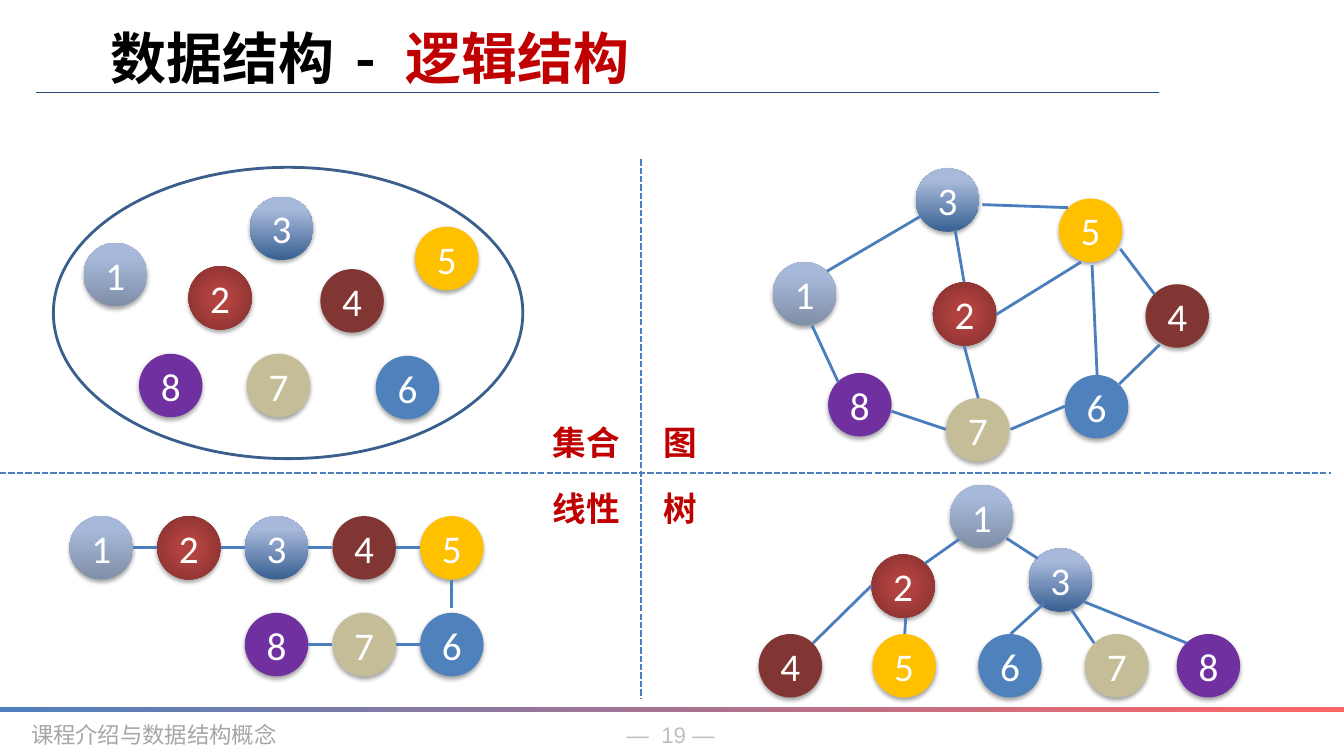
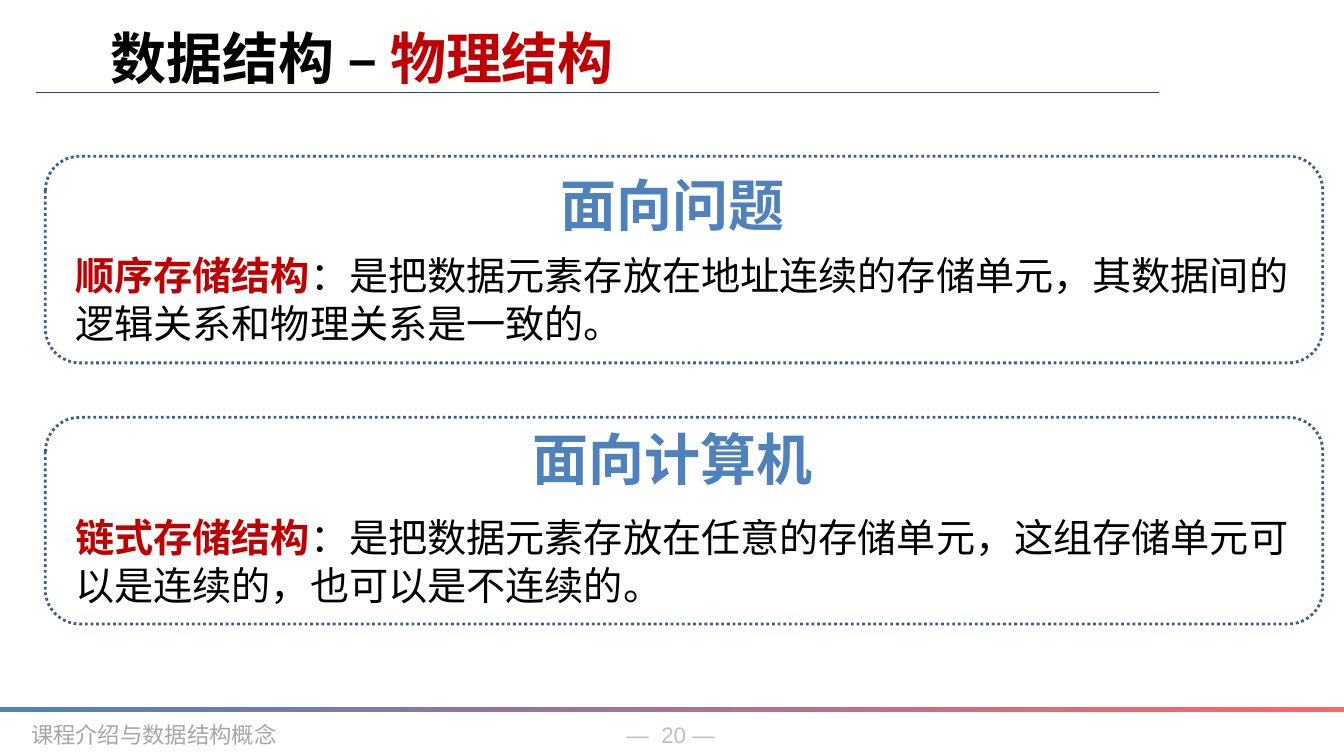
from dataclasses import dataclass

from lxml import etree
from pptx import Presentation
from pptx.dml.color import RGBColor as RGB
from pptx.enum.dml import MSO_LINE as DASH
from pptx.enum.shapes import MSO_CONNECTOR as CONN, MSO_SHAPE as SHAPE
from pptx.enum.text import MSO_ANCHOR as ANCHOR, PP_ALIGN as ALIGN
from pptx.oxml import parse_xml
from pptx.oxml.ns import nsdecls, qn
from pptx.util import Inches, Pt


@dataclass(frozen=True)
class Theme:
    black: str = "000000"
    white: str = "FFFFFF"
    red: str = "C00000"
    blue: str = "4F81BD"
    navy: str = "1F497D"
    link: str = "4B7EBC"
    outline: str = "3A5F8C"
    coral: str = "FF6666"
    footer: str = "A6A6A6"
    number: str = "BFBFBF"
    cjk: str = "Noto Sans CJK SC"
    title: int = 40
    body: int = 28
    label: int = 24
    small: int = 16


T = Theme()
NODE = 0.63
WIDTH = 13.34


def text(s, box, runs, size, color, name=T.cjk, bold=True, align=ALIGN.LEFT, leading=1.3):
    tf = s.shapes.add_textbox(*map(Inches, box)).text_frame
    tf.word_wrap = True
    p = tf.paragraphs[0]
    p.alignment = align
    p.line_spacing = Pt(round(size * leading))
    for content, changes in runs:
        fmt = dict(size=Pt(size), bold=bold, name=name, color=color, spc=0) | changes
        r = p.add_run()
        r.text = content
        r.font.color.rgb = RGB.from_string(fmt.pop("color"))
        spacing = fmt.pop("spc")
        for key, value in fmt.items():
            setattr(r.font, key, value)
        rPr = r._r.get_or_add_rPr()
        if spacing:
            rPr.set("spc", str(int(spacing * 100)))
        ea = etree.Element(qn("a:ea"), typeface=T.cjk)
        rPr.find(qn("a:latin")).addnext(ea)


def line(s, points, color=T.link, width=2, dash=None):
    c = s.shapes.add_connector(CONN.STRAIGHT, *map(Inches, points))
    c.line.color.rgb = RGB.from_string(color)
    c.line.width = Pt(width)
    if dash:
        c.line.dash_style = dash
    etree.SubElement(c._element.spPr, qn("a:effectLst"))


prs = Presentation()
prs.slide_width, prs.slide_height = Inches(WIDTH), Inches(7.5)

titles = [
    (19, " - ", 6, "逻辑结构"),
    (20, " – ", 0, "物理结构"),
]
slides = []
for page, dash, spacing, topic in titles:
    s = prs.slides.add_slide(prs.slide_layouts[6])
    slides.append(s)
    text(s, (6.12, 7.08, 1.18, 0.37), [("—", {}), (" ", dict(spc=4.5)), (f"{page} —", {})],
         T.small, T.number, "Arial", False)
    text(s, (0.21, 7.08, 2.91, 0.37), [("课程介绍与数据结构概念", {})],
         T.small, T.footer, "Courier New", False)
    line(s, (0.36, 0.92, 11.5, 0.92), T.navy, 1)
    bar = s.shapes.add_shape(SHAPE.RECTANGLE, 0, Inches(7.01), Inches(WIDTH), Inches(0.05))
    bar.shadow.inherit = False
    bar.line.fill.background()
    bar.fill.gradient()
    bar.fill.gradient_angle = 0
    for stop, color in zip(bar.fill.gradient_stops, (T.blue, T.coral)):
        stop.color.rgb = RGB.from_string(color)
    text(s, (1, 0.13, 7.32, 0.69),
         [("数据结构", {}), (dash, dict(spc=spacing)), (topic, dict(color=T.red))],
         T.title, T.black)

logical, physical = slides

upward = '<a:lin ang="16200000" scaled="0"/>'
radial = ('<a:path path="circle"><a:fillToRect l="50000" t="50000" r="50000" b="50000"/>'
          '</a:path>')
gradients = {
    1: ([(0, "808FA8"), (80, "A7B9DA"), (100, "A6BADC")], upward),
    2: ([(0, "B1423F"), (23, "B1423F"), (69, "953735"), (97, "8B3431")], radial),
    3: ([(0, "376092"), (80, "A7B9DA"), (100, "A6BADC")], upward),
}
solids = {4: "823634", 5: "FFC000", 6: T.blue, 7: "C4BD97", 8: "7030A0"}

chain = [(0.69 + 0.87 * i, 5.12) for i in range(5)]
chain += [(0.69 + 0.87 * i, 6.08) for i in (4, 3, 2)]
collection = [(0.83, 2.41), (1.87, 2.64), (2.48, 1.95), (3.18, 2.67),
              (4.12, 2.25), (3.73, 3.53), (2.45, 3.51), (1.38, 3.51)]
graph = [(7.67, 2.6), (9.26, 2.8), (9.09, 1.67), (11.37, 2.82),
         (10.51, 1.97), (10.57, 3.72), (9.39, 3.95), (8.22, 3.7)]
tree = [(9.43, 4.81), (8.65, 5.5), (10.21, 5.44), (7.53, 6.29),
        (8.66, 6.29), (9.71, 6.29), (10.77, 6.29), (11.68, 6.29)]

for structure in (chain, collection, graph, tree):
    for number, (x, y) in enumerate(structure, 1):
        sp = logical.shapes.add_shape(SHAPE.OVAL, *map(Inches, (x, y, NODE, NODE)))
        sp.line.fill.background()
        spPr = sp._element.spPr
        if number in solids:
            sp.fill.solid()
            sp.fill.fore_color.rgb = RGB.from_string(solids[number])
        else:
            stops, direction = gradients[number]
            marks = "".join(f'<a:gs pos="{at * 1000}"><a:srgbClr val="{color}"/></a:gs>'
                            for at, color in stops)
            sp.fill.background()
            spPr.replace(spPr.find(qn("a:noFill")), parse_xml(
                f'<a:gradFill {nsdecls("a")} rotWithShape="1"><a:gsLst>{marks}</a:gsLst>'
                f'{direction}</a:gradFill>'))
        sp.shadow.inherit = False
        spPr.find(qn("a:effectLst")).append(parse_xml(
            f'<a:outerShdw {nsdecls("a")} blurRad="{Pt(3.1)}" dist="{Pt(1.8)}" dir="5400000" '
            'rotWithShape="0"><a:srgbClr val="000000"><a:alpha val="35000"/></a:srgbClr>'
            '</a:outerShdw>'))
        tf = sp.text_frame
        tf.vertical_anchor = ANCHOR.MIDDLE
        p = tf.paragraphs[0]
        p.alignment = ALIGN.CENTER
        r = p.add_run()
        r.text = str(number)
        r.font.color.rgb = RGB.from_string(T.white)
        for key, value in dict(size=Pt(T.body), name="Calibri").items():
            setattr(r.font, key, value)

for (x1, y1), (x2, y2) in zip(chain, chain[1:]):
    if y1 == y2:
        left, middle = min(x1, x2), y1 + NODE / 2
        line(logical, (left + NODE, middle, left + 0.87, middle))
    else:
        line(logical, (x1 + NODE / 2, y1 + NODE, x1 + NODE / 2, y2 - 0.05))

graph_links = [
    (9.13, 2.15, 8.21, 2.69), (8.06, 3.23, 8.32, 3.79), (9.48, 2.28, 9.57, 2.8),
    (10.84, 2.63, 10.89, 3.72), (9.75, 2.03, 10.6, 2.06), (10.73, 2.6, 9.89, 3.12),
    (8.85, 4.08, 9.39, 4.26), (11.51, 3.42, 11.11, 3.81), (9.57, 3.43, 9.71, 3.95),
    (10.03, 4.26, 10.57, 4.03), (11.12, 2.47, 11.46, 2.92),
]
tree_links = [
    (9.52, 5.35, 9.18, 5.59), (8.65, 5.81, 8.07, 6.38), (9.99, 5.34, 10.3, 5.54),
    (11.78, 6.38, 10.76, 5.97), (10.36, 5.99, 10.03, 6.29), (10.63, 6.04, 10.86, 6.38),
    (8.99, 6.13, 8.98, 6.29),
]
for points in graph_links + tree_links:
    line(logical, points)
for points in ((6.36, 1.58, 6.36, 6.93), (0, 4.69, 13.21, 4.69)):
    line(logical, points, width=1.5, dash=DASH.SQUARE_DOT)

labels = [("集合", 5.35, 4.11), ("线性", 5.35, 4.76), ("图", 6.28, 4.11), ("树", 6.28, 4.76)]
for label, x, y in labels:
    text(logical, (x, y, 0.94, 0.47), [(label, {})], T.label, T.red, align=ALIGN.CENTER)

frames = [(logical, SHAPE.OVAL, (0.53, 1.66, 4.66, 2.89), None)]
storage = [
    (1.55, 1.59, 2.44, "面向问题", "顺序存储结构",
     "是把数据元素存放在地址连续的存储单元，其数据间的逻辑关系和物理关系是一致的。"),
    (4.14, 4.11, 5.04, "面向计算机", "链式存储结构",
     "是把数据元素存放在任意的存储单元，这组存储单元可以是连续的，也可以是不连续的。"),
]
for top, heading_top, body_top, heading, term, meaning in storage:
    frames.append((physical, SHAPE.ROUNDED_RECTANGLE, (0.45, top, 12.68, 2.05), DASH.ROUND_DOT))
    text(physical, (0.65, body_top, 12.28, 1.18),
         [(term, dict(color=T.red, bold=True, name="Arial")), ("：", dict(name="Arial")),
          (meaning, {})],
         T.body, T.black, bold=False, leading=1.2)
    text(physical, (5.08, heading_top, 3.19, 0.69), [(heading, {})],
         T.title, T.blue, align=ALIGN.CENTER)

for s, kind, box, dash in frames:
    sp = s.shapes.add_shape(kind, *map(Inches, box))
    sp.shadow.inherit = False
    sp.fill.background()
    sp.line.color.rgb = RGB.from_string(T.outline)
    sp.line.width = Pt(2)
    if dash:
        sp.line.dash_style = dash

prs.save("out.pptx")
